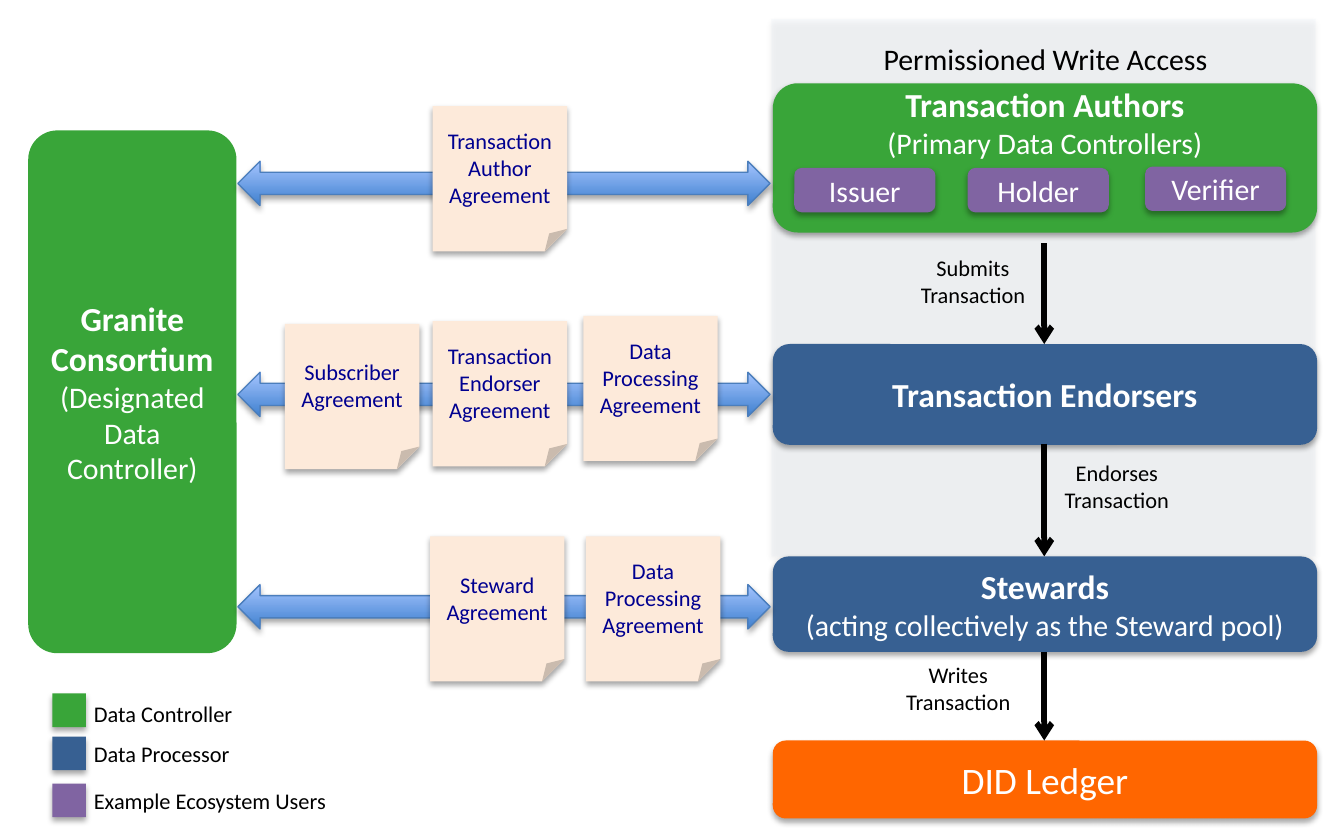
from dataclasses import dataclass

from lxml import etree
from pptx import Presentation
from pptx.dml.color import RGBColor
from pptx.enum.shapes import MSO_CONNECTOR, MSO_SHAPE
from pptx.enum.text import MSO_ANCHOR, PP_ALIGN
from pptx.oxml.ns import qn
from pptx.util import Inches, Pt

RECT, ROUNDED = MSO_SHAPE.RECTANGLE, MSO_SHAPE.ROUNDED_RECTANGLE
NOTE, DOUBLE_ARROW = MSO_SHAPE.FOLDED_CORNER, MSO_SHAPE.LEFT_RIGHT_ARROW
TOP, MIDDLE = MSO_ANCHOR.TOP, MSO_ANCHOR.MIDDLE
LEFT, CENTER = PP_ALIGN.LEFT, PP_ALIGN.CENTER


@dataclass
class Theme:
    font: str = "Calibri"
    controller: str = "39A539"
    processor: str = "376092"
    user: str = "8064A2"
    ledger: str = "FF6600"
    panel: str = "DCE6F2"
    paper: str = "FDEADA"
    paper_ink: str = "000090"
    arrow_dark: str = "3F80CE"
    arrow_light: str = "A4C4FF"
    arrow_edge: str = "4B7EBC"
    black: str = "000000"
    white: str = "FFFFFF"
    ledger_size: int = 20
    heading: int = 18
    body: int = 16
    small: int = 12


theme = Theme()
prs = Presentation()
prs.slide_width, prs.slide_height = Inches(10), Inches(6.25)
slide = prs.slides.add_slide(prs.slide_layouts[6])


def add_block(kind, box, color, shadow=True):
    """Add a filled shape without outline, optionally with a soft shadow."""
    block = slide.shapes.add_shape(kind, *(Inches(v) for v in box))
    block.fill.solid()
    block.fill.fore_color.rgb = RGBColor.from_string(color)
    block.line.fill.background()
    block.shadow.inherit = False
    if shadow:
        effects = block._element.spPr.find(qn("a:effectLst"))
        outer = etree.SubElement(effects, qn("a:outerShdw"), blurRad=str(Pt(3.1)),
                                 dist=str(Pt(1.8)), dir="5400000", rotWithShape="0")
        black = etree.SubElement(outer, qn("a:srgbClr"), val=theme.black)
        etree.SubElement(black, qn("a:alpha"), val="35000")
    return block


def write(target, *lines, size=theme.small, color=theme.black, align=CENTER,
          anchor=MIDDLE, side=0.1, top=0.05):
    """Write one paragraph per line; a line is text or (text, size, bold)."""
    frame = target.text_frame
    frame.word_wrap = True
    frame.vertical_anchor = anchor
    frame.margin_left = frame.margin_right = Inches(side)
    frame.margin_top = Inches(top)
    for index, line in enumerate(lines):
        text, points, bold = (line, size, False) if isinstance(line, str) else line
        paragraph = frame.paragraphs[0] if index == 0 else frame.add_paragraph()
        paragraph.alignment = align
        run = paragraph.add_run()
        run.text = text
        run.font.name, run.font.size, run.font.bold = theme.font, Pt(points), bold
        run.font.color.rgb = RGBColor.from_string(color)


# Write-access panel
column_left, column_width = 5.75, 4.05
panel = add_block(RECT, (5.74, 0.14, column_width, 4), theme.panel)
panel_color = panel._element.spPr.find(qn("a:solidFill"))[0]
etree.SubElement(panel_color, qn("a:alpha"), val="17000")

# Consortium and the column of roles: top, height, colour, text, text format
consortium = add_block(ROUNDED, (0.21, 0.97, 1.55, 3.89), theme.controller, shadow=False)
consortium.adjustments[0] = 0.14
write(consortium, ("Granite Consortium", theme.heading, True),
      "(Designated Data Controller)", size=theme.body, color=theme.white)

roles = [
    (0.62, 1.11, theme.controller,
     [("Transaction Authors", theme.heading, True), "(Primary Data Controllers)"],
     {"anchor": TOP, "top": -0.05}),
    (2.56, 0.75, theme.processor, [("Transaction Endorsers", theme.heading, True)], {}),
    (4.14, 0.71, theme.processor,
     [("Stewards", theme.heading, True), "(acting collectively as the Steward pool)"], {}),
    (5.51, 0.58, theme.ledger, [("DID Ledger", theme.ledger_size, False)], {}),
]
for top, height, color, lines, layout in roles:
    role = add_block(ROUNDED, (column_left, top, column_width, height), color)
    write(role, *lines, size=theme.body, color=theme.white, **layout)

# Ecosystem users inside the authors' box
for left, top, user in [(5.91, 1.25, "Issuer"), (7.2, 1.25, "Holder"), (8.52, 1.24, "Verifier")]:
    write(add_block(ROUNDED, (left, top, 1.05, 0.33), theme.user), user,
          size=theme.body, color=theme.white)

# Downward transaction flow
for start, end in [(1.81, 2.56), (3.3, 4.14), (4.85, 5.51)]:
    flow = slide.shapes.add_connector(MSO_CONNECTOR.STRAIGHT, Inches(7.77), Inches(start),
                                      Inches(7.77), Inches(end))
    flow.line.color.rgb = RGBColor.from_string(theme.black)
    flow.line.width = Pt(3)
    etree.SubElement(flow.line._get_or_add_ln(), qn("a:tailEnd"), type="arrow")
    etree.SubElement(flow._element.spPr, qn("a:effectLst"))

# Two-way agreement arrows
for top in (1.2, 2.77, 4.35):
    exchange = add_block(DOUBLE_ARROW, (1.77, top, 3.96, 0.33), theme.arrow_dark)
    exchange.fill.gradient()
    exchange.fill.gradient_angle = 90
    for stop, color in zip(exchange.fill.gradient_stops, (theme.arrow_dark, theme.arrow_light)):
        stop.color.rgb = RGBColor.from_string(color)
    exchange.line.color.rgb = RGBColor.from_string(theme.arrow_edge)
    exchange.line.width = Pt(0.75)

# Agreement notes
agreements = [
    (3.22, 0.79, "Transaction Author"),
    (2.12, 2.41, "Subscriber"),
    (3.22, 2.39, "Transaction Endorser"),
    (4.34, 2.35, "Data Processing"),
    (3.2, 3.99, "Steward"),
    (4.36, 3.99, "Data Processing"),
]
for left, top, subject in agreements:
    write(add_block(NOTE, (left, top, 1, 1.08), theme.paper), f"{subject} Agreement",
          color=theme.paper_ink, side=0)

# Legend swatches: top of swatch, top of caption, caption width
legend = [
    (5.16, 5.16, 1.32, theme.controller, "Data Controller"),
    (5.48, 5.46, 1.32, theme.processor, "Data Processor"),
    (5.83, 5.81, 2.57, theme.user, "Example Ecosystem Users"),
]
for top, _, _, color, _ in legend:
    add_block(RECT, (0.39, top, 0.25, 0.25), color)

# Captions: panel heading, flow steps and legend
captions = [
    ((5.76, 0.25, 4.04, 0.37), "Permissioned Write Access", theme.body, CENTER),
    ((6.74, 1.84, 1, 0.5), "Submits Transaction", theme.small, CENTER),
    ((7.81, 3.37, 1, 0.5), "Endorses Transaction", theme.small, CENTER),
    ((6.63, 4.87, 1, 0.5), "Writes Transaction", theme.small, CENTER),
]
captions += [((0.6, top, width, 0.3), text, theme.small, LEFT)
             for _, top, width, _, text in legend]
for box, text, size, align in captions:
    caption = slide.shapes.add_textbox(*(Inches(v) for v in box))
    write(caption, text, size=size, align=align, anchor=TOP)

prs.save("out.pptx")
